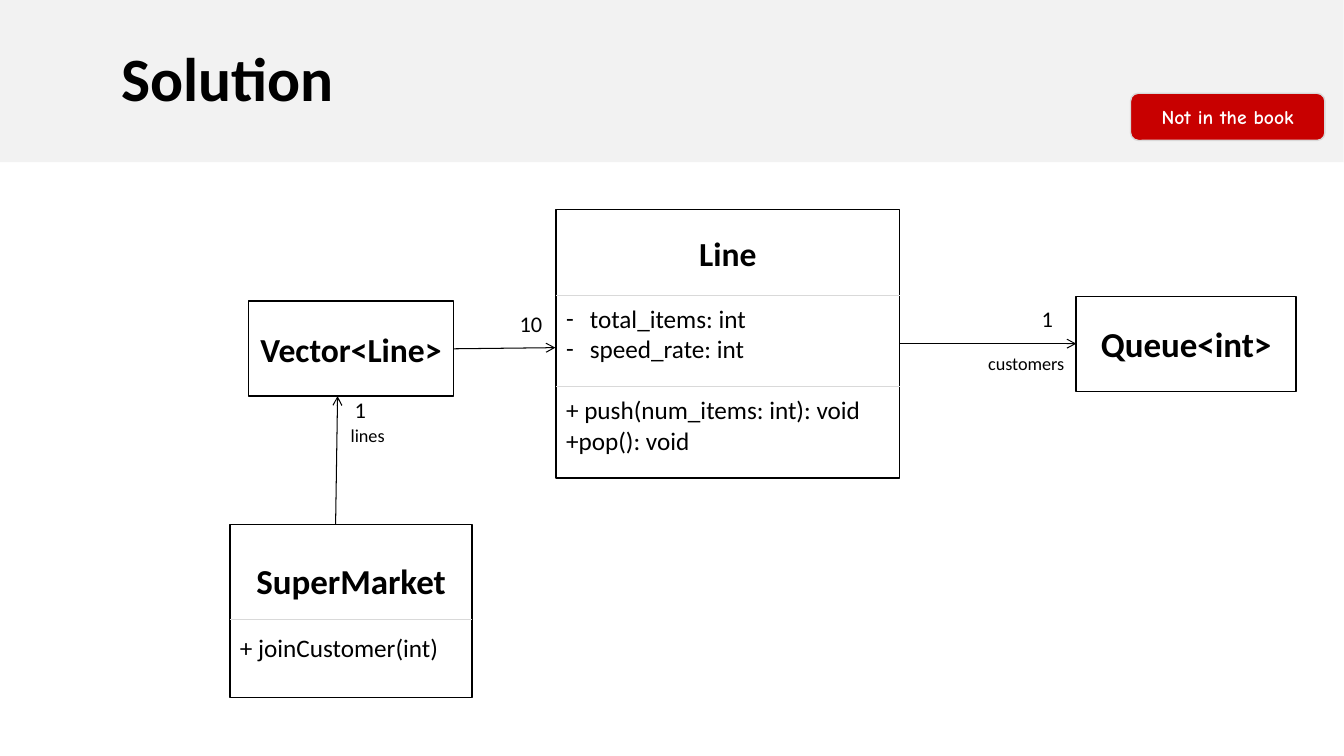
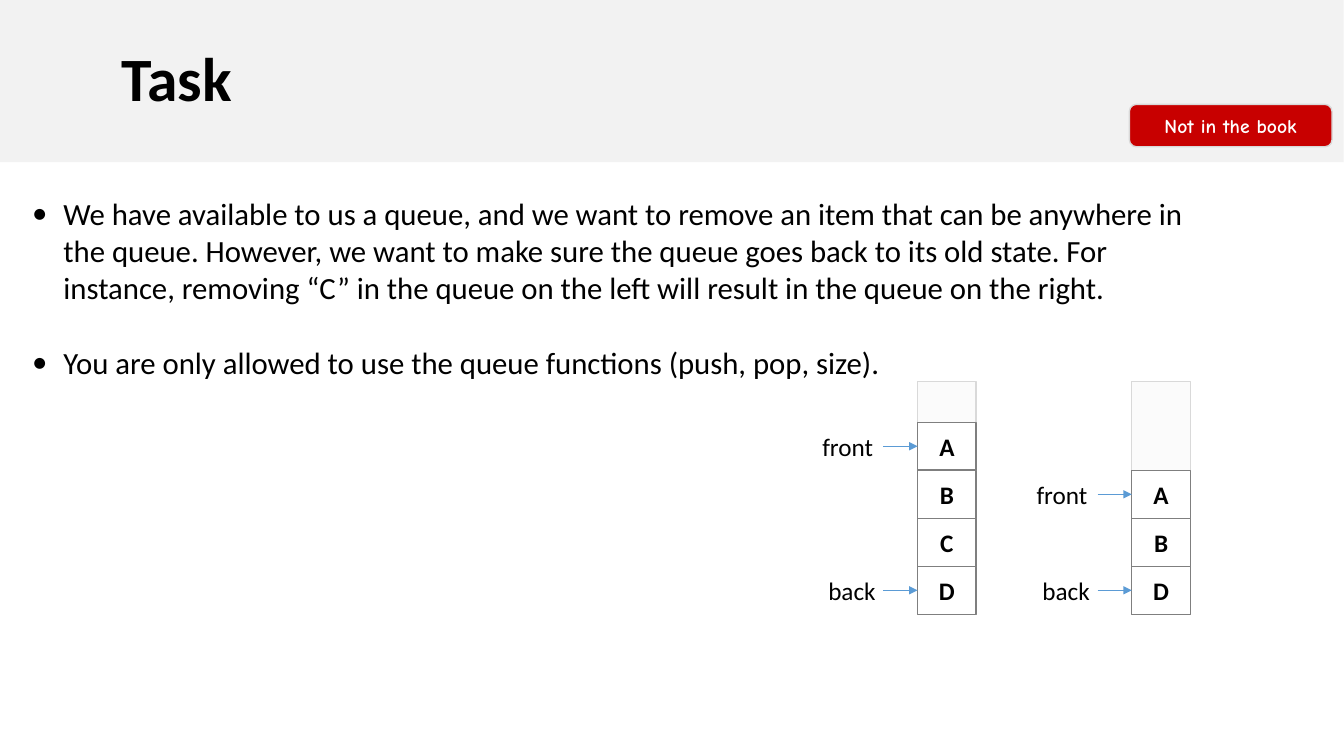
from dataclasses import dataclass

from lxml.etree import SubElement
from pptx import Presentation
from pptx.dml.color import RGBColor
from pptx.enum.shapes import MSO_CONNECTOR, MSO_SHAPE
from pptx.enum.text import MSO_ANCHOR, PP_ALIGN
from pptx.oxml.ns import qn
from pptx.shapes.autoshape import Shape
from pptx.slide import Slide
from pptx.text.text import TextFrame
from pptx.util import Cm, Pt


@dataclass(frozen=True)
class Theme:
    font: str = "Calibri"
    comic: str = "Comic Neue"
    ink: str = "000000"
    paper: str = "FFFFFF"
    band: str = "F2F2F2"
    rule: str = "D9D9D9"
    frame: str = "FBFBFB"
    edge: str = "7F7F7F"
    red: str = "C80000"
    blue: str = "5B9BD5"
    title: int = 44
    head: int = 25
    name: int = 24
    lead: int = 22
    body: int = 18
    count: int = 16
    badge: int = 14
    role: int = 13


T = Theme()


@dataclass(frozen=True)
class Box:
    """Left, top, width and height in centimetres."""
    x: float
    y: float
    w: float
    h: float


@dataclass(frozen=True)
class Para:
    text: str
    size: int = T.body
    bold: bool = False
    align: PP_ALIGN = PP_ALIGN.LEFT
    gap: int = 0
    mark: str = ""
    indent: float = 0
    color: str = T.ink
    font: str = T.font


@dataclass(frozen=True)
class Node:
    """A class box of the diagram, with the heights of its dividers."""
    box: Box
    paras: tuple[Para, ...]
    rules: tuple[float, ...] = ()


@dataclass(frozen=True)
class Link:
    x1: float
    y1: float
    x2: float
    y2: float


@dataclass(frozen=True)
class Label:
    box: Box
    text: str
    size: int


@dataclass(frozen=True)
class Queue:
    x: float
    items: str


def head(text: str, size: int = T.head) -> Para:
    return Para(text, size, True, PP_ALIGN.CENTER)


# Slide 1: class diagram
NODES = (
    Node(Box(27.13, 7.47, 5.54, 2.39), (head("Queue<int>"),)),
    Node(Box(14.02, 5.28, 8.66, 6.77), (
        head("Line", T.name),
        Para("total_items: int", gap=22, mark="-", indent=0.6),
        Para("speed_rate: int", mark="-", indent=0.6),
        Para("+ push(num_items: int): void", gap=22),
        Para("+pop(): void")), (7.44, 9.73)),
    Node(Box(5.8, 13.21, 6.1, 4.37), (
        head("SuperMarket"), Para("+ joinCustomer(int)", gap=22)), (15.6,)),
    Node(Box(6.27, 7.59, 5.16, 2.39), (head("Vector<Line>", T.name),)),
)
LINKS = (
    Link(22.68, 8.66, 27.13, 8.66),
    Link(8.46, 13.21, 8.51, 9.98),
    Link(11.43, 8.79, 14, 8.76),
)
LABELS = (
    Label(Box(26.01, 7.57, 0.9, 0.94), "1", T.count),
    Label(Box(12.85, 7.7, 1.15, 0.94), "10", T.count),
    Label(Box(8.69, 9.86, 0.9, 0.94), "1", T.count),
    Label(Box(24.66, 8.76, 2.6, 0.81), "customers", T.role),
    Label(Box(8.59, 10.57, 1.8, 0.81), "lines", T.role),
)

# Slide 2: task text and queues
TASKS = (
    "We have available to us a queue, and we want to remove an item that can "
    "be anywhere in the queue. However, we want to make sure the queue goes "
    "back to its old state. For instance, removing “C” in the queue on the "
    "left will result in the queue on the right.",
    "You are only allowed to use the queue functions (push, pop, size).",
)
QUEUES = (Queue(23.13, "ABCD"), Queue(28.53, "ABD"))
CELL_W, CELL_H = 1.48, 1.21
TOP, BASE = 9.61, 15.48


def write(frame: TextFrame, paras: tuple[Para, ...]) -> None:
    for i, para in enumerate(paras):
        p = frame.add_paragraph() if i else frame.paragraphs[0]
        p.text = para.text
        p.alignment = para.align
        if para.gap:
            p.space_before = Pt(para.gap)
        if para.mark:
            props = p._p.get_or_add_pPr()
            props.set("marL", str(Cm(para.indent)))
            props.set("indent", str(-Cm(para.indent)))
            SubElement(props, qn("a:buFont"), typeface=para.font)
            SubElement(props, qn("a:buChar"), char=para.mark)
        p.font.name = para.font
        p.font.size = Pt(para.size)
        p.font.bold = para.bold
        p.font.color.rgb = RGBColor.from_string(para.color)


def block(slide: Slide, box: Box, fill: str, line: str = "",
          paras: tuple[Para, ...] = (),
          kind: MSO_SHAPE = MSO_SHAPE.RECTANGLE) -> Shape:
    shape = slide.shapes.add_shape(
        kind, Cm(box.x), Cm(box.y), Cm(box.w), Cm(box.h))
    shape.shadow.inherit = False
    shape.fill.solid()
    shape.fill.fore_color.rgb = RGBColor.from_string(fill)
    if line:
        shape.line.color.rgb = RGBColor.from_string(line)
        shape.line.width = Pt(1)
    else:
        shape.line.fill.background()
    shape.text_frame.vertical_anchor = MSO_ANCHOR.MIDDLE
    write(shape.text_frame, paras)
    return shape


def note(slide: Slide, box: Box, paras: tuple[Para, ...]) -> None:
    shape = slide.shapes.add_textbox(
        Cm(box.x), Cm(box.y), Cm(box.w), Cm(box.h))
    shape.text_frame.word_wrap = True
    write(shape.text_frame, paras)


def join(slide: Slide, link: Link, color: str, width: float,
         tip: str = "") -> None:
    line = slide.shapes.add_connector(
        MSO_CONNECTOR.STRAIGHT, Cm(link.x1), Cm(link.y1),
        Cm(link.x2), Cm(link.y2))
    line.line.color.rgb = RGBColor.from_string(color)
    line.line.width = Pt(width)
    if tip:
        SubElement(line.line._get_or_add_ln(), qn("a:tailEnd"), type=tip)
    SubElement(line._element.spPr, qn("a:effectLst"))


def start(deck: Presentation, title: str, badge: Box) -> Slide:
    """Add a slide with its title band and badge."""
    slide = deck.slides.add_slide(deck.slide_layouts[6])
    band = block(slide, Box(0, 0, 33.87, 4.09), T.band,
                 paras=(Para(title, T.title, True),))
    band.text_frame.margin_left = Cm(3.06)
    band.text_frame.paragraphs[0].line_spacing = 0.9
    text = Para("Not in the book", T.badge, True, PP_ALIGN.CENTER,
                color=T.paper, font=T.comic)
    block(slide, badge, T.red, T.rule, (text,), MSO_SHAPE.ROUNDED_RECTANGLE)
    return slide


def chart(slide: Slide) -> None:
    """Draw the class diagram."""
    for node in NODES:
        box = node.box
        block(slide, box, T.paper, T.ink, node.paras)
        for y in node.rules:
            join(slide, Link(box.x, y, box.x + box.w, y), T.rule, 0.5)
    for link in LINKS:
        join(slide, link, T.ink, 0.75, "arrow")
    for label in LABELS:
        note(slide, label.box, (Para(label.text, label.size),))


def stack(slide: Slide, queue: Queue) -> None:
    """Draw a queue, its cells standing on the base line."""
    x, first, last = queue.x, BASE - CELL_H * len(queue.items), BASE - CELL_H
    block(slide, Box(x, TOP, CELL_W, BASE - TOP), T.frame, T.rule)
    for i, item in enumerate(queue.items):
        cell = Box(x, first + i * CELL_H, CELL_W, CELL_H)
        block(slide, cell, T.paper, T.edge, (head(item, T.body),))
    for text, y, left in (("front", first, 2.65), ("back", last, 2.5)):
        mid = y + CELL_H / 2
        join(slide, Link(x - 0.86, mid, x, mid), T.blue, 0.5, "triangle")
        note(slide, Box(x - left, y + 0.1, 2, 1.02), (Para(text),))


def main() -> None:
    deck = Presentation()
    deck.slide_width, deck.slide_height = Cm(33.88), Cm(19.05)

    chart(start(deck, "Solution", Box(28.5, 2.35, 4.9, 1.19)))

    task = start(deck, "Task", Box(28.47, 2.63, 5.11, 1.07))
    paras = tuple(Para(text, T.lead, gap=27 if i else 0, mark="•", indent=0.79)
                  for i, text in enumerate(TASKS))
    note(task, Box(0.56, 4.78, 30.45, 5.84), paras)
    for queue in QUEUES:
        stack(task, queue)

    deck.save("out.pptx")


if __name__ == "__main__":
    main()
